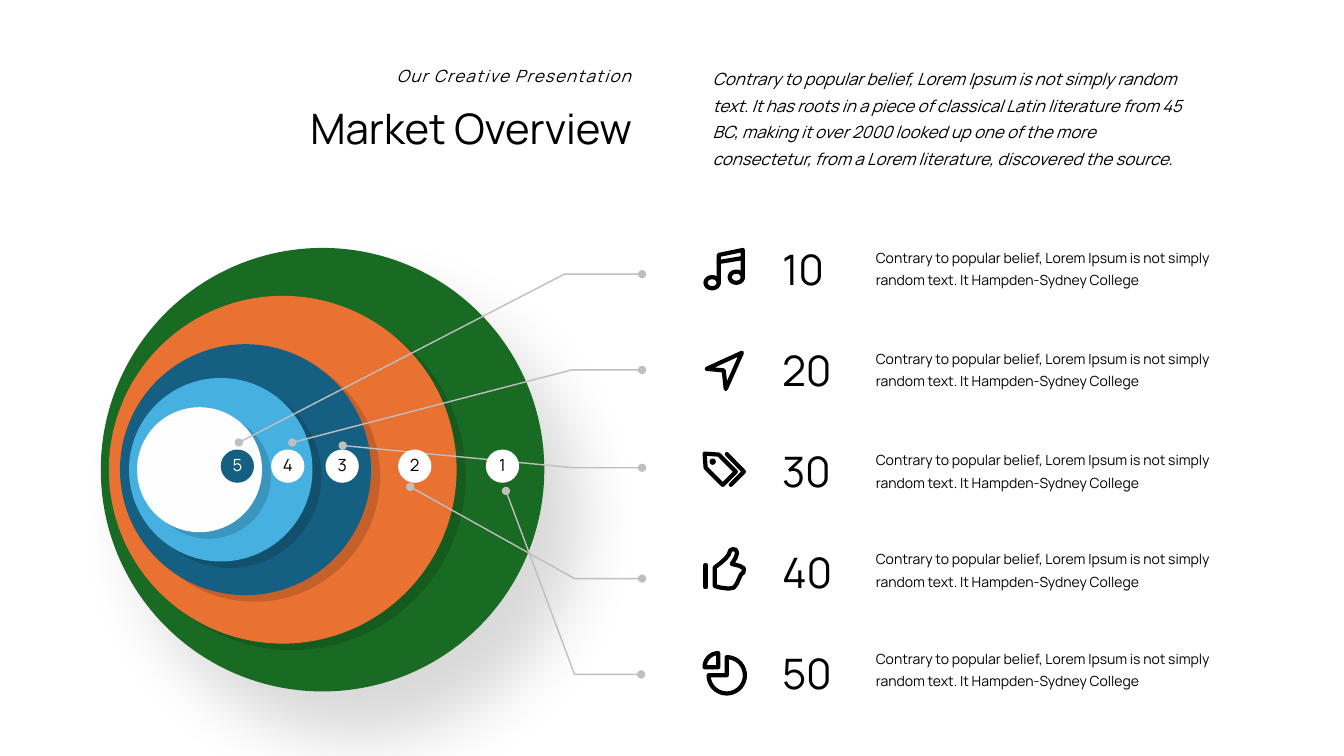
import math
import pptx
import pptx.util
import pptx.dml.color
import pptx.enum.shapes
import pptx.enum.text
import pptx.oxml
import pptx.oxml.ns

Pt = pptx.util.Pt
Align = pptx.enum.text.PP_ALIGN
Anchor = pptx.enum.text.MSO_ANCHOR
OVAL = pptx.enum.shapes.MSO_SHAPE.OVAL
qn = pptx.oxml.ns.qn


def hue(code):
    return pptx.dml.color.RGBColor.from_string(code)


def node(text):
    head, sep, tail = text.partition(" ")
    space = pptx.oxml.ns.nsdecls("a")
    return pptx.oxml.parse_xml(f"<{head} {space} {tail}")


def put(thing, **vals):
    for key, val in vals.items():
        setattr(thing, key, val)


def arc(x, y, wide, high, start, end):
    turns = [math.radians(a) for a in range(start, end + 1, 10)]
    return [(x + wide * math.cos(t), y + high * math.sin(t)) for t in turns]


def loop(*dots):
    return [*dots, dots[0]]


class Deck:
    font = "Manrope"
    unit = pptx.util.Inches(0.1)

    def __init__(self, cols, rows):
        self.file = pptx.Presentation()
        put(self.file, slide_width=self.cell(cols), slide_height=self.cell(rows))
        self.slide = self.file.slides.add_slide(self.file.slide_layouts[1])
        self.shapes = self.slide.shapes

    def cell(self, count):
        return round(count * self.unit)

    def box(self, spot):
        return [self.cell(n) for n in spot]

    def label(self, frame, text, size, ink="000000", slant=False, track=0, **form):
        put(frame, text=text, word_wrap=True, vertical_anchor=Anchor.TOP,
            auto_size=pptx.enum.text.MSO_AUTO_SIZE.NONE)
        para = frame.paragraphs[0]
        put(para, **{"alignment": Align.LEFT, "space_before": Pt(0), **form})
        run = para.runs[0]
        put(run.font, name=self.font, size=Pt(size), italic=slant)
        run.font.color.rgb = hue(ink)
        if track:
            run.font._element.set("spc", str(track * 100))

    def text(self, spot, text, size, **form):
        self.label(self.shapes.add_textbox(*self.box(spot)).text_frame, text, size, **form)

    def holder(self, index, spot, text, size, **form):
        shape = self.slide.placeholders[index]
        put(shape, **dict(zip(("left", "top", "width", "height"), self.box(spot))))
        self.label(shape.text_frame, text, size, **form)
        props = shape.text_frame.paragraphs[0]._p.get_or_add_pPr()
        props.set("marL", "0")
        props.set("indent", "0")
        props.append(node("a:buNone />"))

    def disc(self, left, top, size, paint, shade=None):
        shape = self.shapes.add_shape(OVAL, *self.box((left, top, size, size)))
        shape.fill.solid()
        shape.fill.fore_color.rgb = hue(paint)
        shape.line.fill.background()
        shape.shadow.inherit = False
        if shade:
            alpha, blur, dist, angle = shade
            shape._element.spPr.find(qn("a:effectLst")).append(node(
                f'a:outerShdw blurRad="{Pt(blur)}" dist="{Pt(dist)}" dir="{angle * 60000}" '
                f'algn="ctr" rotWithShape="0"><a:srgbClr val="000000">'
                f'<a:alpha val="{alpha * 1000}"/></a:srgbClr></a:outerShdw>'))
        return shape

    def badge(self, left, mark, paint, ink):
        frame = self.disc(left, 44.6, 3.3, paint).text_frame
        self.label(frame, mark, 12, ink=ink, alignment=Align.CENTER)
        put(frame, margin_left=0, margin_right=0, margin_top=0,
            margin_bottom=self.cell(0.3), word_wrap=False, vertical_anchor=Anchor.MIDDLE)

    def trace(self, routes, ink, width, ends=False):
        pen = None
        for route in routes:
            dots = [tuple(self.box(dot)) for dot in route]
            if pen is None:
                pen = self.shapes.build_freeform(*dots[0])
            else:
                pen.move_to(*dots[0])
            pen.add_line_segments(dots[1:], close=False)
        shape = pen.convert_to_shape()
        shape.fill.background()
        shape.shadow.inherit = False
        shape.line.color.rgb = hue(ink)
        shape.line.width = Pt(width)
        line = shape._element.spPr.find(qn("a:ln"))
        line.set("cap", "rnd")
        line.append(node("a:round />"))
        if ends:
            for tag in ("headEnd", "tailEnd"):
                line.append(node(f'a:{tag} type="oval"/>'))

    def icon(self, top, routes):
        self.trace([[(69.7 + x / 10, top + y / 10) for x, y in route] for route in routes],
                   "000000", 3)


RINGS = [(10, 44, "196B24", (14, 45, 43, 52))] + [
    (left, size, paint, (15, 0, 8, 36)) for left, size, paint in (
        (10.8, 34.5, "E97132"), (11.9, 24.9, "156082"),
        (12.8, 18.2, "46B1E1"), (13.6, 12.4, "FEFEFE"))]

LEADS = [
    ((23.7, 43.9), (56, 27.2), (63.7, 27.2)),
    ((29, 43.9), (56.7, 36.7), (63.7, 36.7)),
    ((34, 44.2), (56.9, 46.4), (63.7, 46.4)),
    ((40.7, 48.3), (57, 57.4), (63.7, 57.4)),
    ((50.2, 48.7), (57, 66.9), (63.6, 66.9)),
]

BADGES = [(48.2, "FFFFFF", "000000"), (39.5, "FFFFFF", "000000"),
          (32.3, "FFFFFF", "000000"), (26.9, "FFFFFF", "000000"),
          (21.9, "156082", "FFFFFF")]

MUSIC = [[(16, 35), (16, 7), (40, 2), (40, 29)], [(16, 14), (40, 10)],
         arc(9.5, 34.5, 6.5, 5.5, 0, 360), arc(33.5, 29, 6.5, 5.5, 0, 360)]
PLANE = [loop((39, 2), (23, 38), (21, 19.5), (4, 18))]
TAGS = [loop((2, 2), (16, 3), (33, 20), (20, 33), (3, 16)),
        [(24, 2.5), (41, 20), (28, 33)], arc(10, 10, 1, 1, 0, 360)]
THUMB = [loop((12, 20), (18, 15.5), (23, 11), (26, 7), (27.5, 3), (30, 1.8),
              (33, 2.5), (34.3, 5.5), (33, 10), (29, 16.5), (37, 18.5), (41, 21),
              (40.5, 25), (38, 27), (34, 36), (31, 40), (26, 41), (18, 40), (12, 38.5)),
         loop((2.2, 18), (3.8, 18), (3.8, 39), (2.2, 39))]
PIE = [loop((15.5, 16), *arc(15.5, 16, 13.5, 14, 180, 270)),
       loop((24, 24), *arc(24, 24, 18, 18, -90, 180))]

ITEMS = [(24.6, 23.7, MUSIC), (34.8, 33.7, PLANE), (44.8, 43.8, TAGS),
         (54.3, 53.6, THUMB), (64.6, 63.5, PIE)]

INTRO = ("Contrary to popular belief, Lorem Ipsum is not simply random text. It has roots "
         "in a piece of classical Latin literature from 45 BC, making it over 2000 looked up "
         "one of the more consectetur, from a Lorem literature, discovered the source.")
NOTE = ("Contrary to popular belief, Lorem Ipsum is not simply random text. "
        "It Hampden-Sydney College")


def main():
    deck = Deck(133.33, 75)
    deck.holder(0, (16.7, 9.7, 47, 6.1), "Market Overview", 30, alignment=Align.RIGHT)
    deck.holder(1, (69.7, 5.7, 49.5, 14.1), INTRO, 12, slant=True, line_spacing=Pt(19))
    deck.text((33.7, 6, 29.9, 3), "Our Creative Presentation", 12, slant=True, track=1,
              alignment=Align.RIGHT)
    for left, size, paint, shade in RINGS:
        deck.disc(left, 46.6 - size / 2, size, paint, shade)
    for lead in LEADS:
        deck.trace([lead], "BFBFBF", 1, ends=True)
    for rank, (left, paint, ink) in enumerate(BADGES, 1):
        deck.badge(left, str(rank), paint, ink)
    for rank, (top, row, routes) in enumerate(ITEMS):
        deck.icon(top, routes)
        deck.text((76.6, 23.7 + 10 * rank, 9.3, 6.1), str(10 * rank + 10), 30)
        deck.text((85.9, row, 39.4, 5.3), NOTE, 10, line_spacing=Pt(16))
    deck.file.save("out.pptx")


if __name__ == "__main__":
    main()
